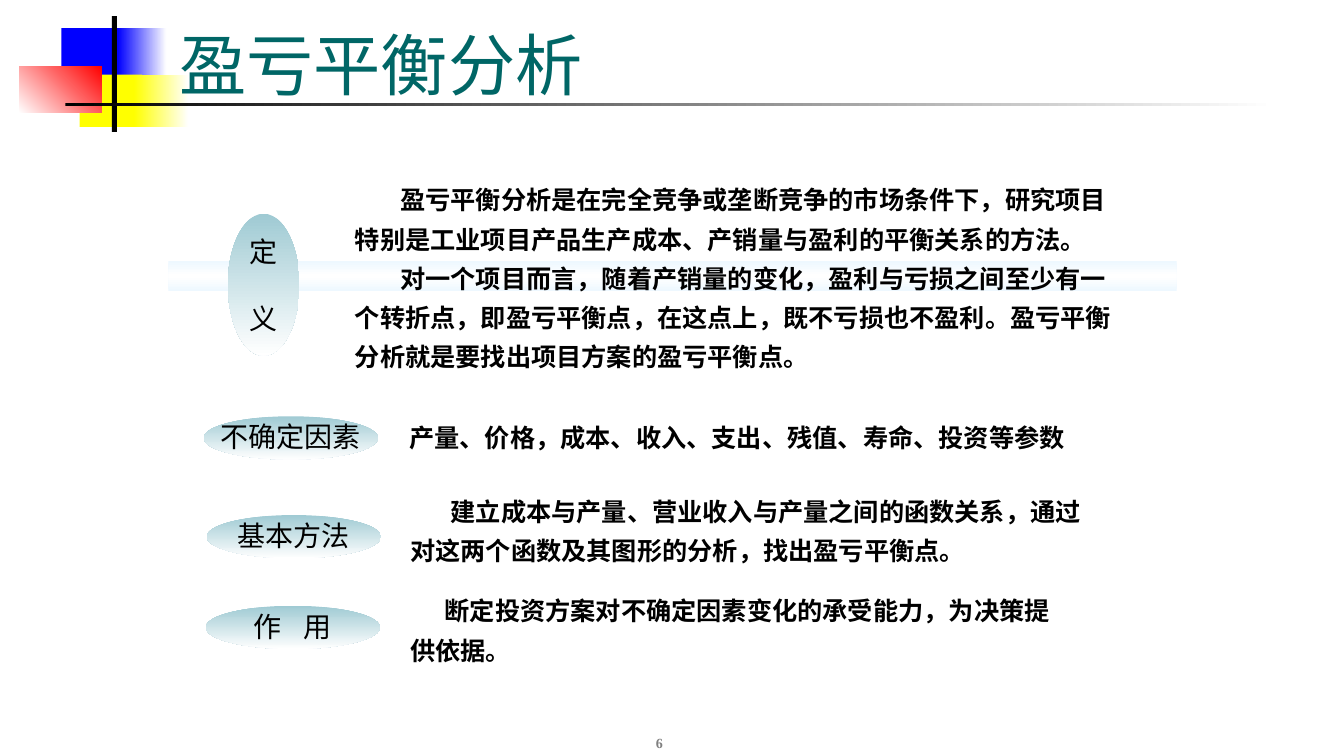
"""Builds the slide that introduces break-even analysis."""
from copy import deepcopy

from pptx import Presentation
from pptx import util as u
from pptx.dml.color import RGBColor
from pptx.enum import shapes, text

COLORS = {
    "blue": "0000FF", "yellow": "FFFF00", "red": "FF0000",
    "black": "000000", "white": "FFFFFF", "teal": "006666",
    "gray": "808080", "mist": "9FCAD3", "ice": "EEF8FF",
}
LATIN, SERIF = "Arial", "Times New Roman"
BODY = {"name": LATIN, "size": u.Pt(18), "bold": True}
LABEL = {"name": LATIN, "size": u.Pt(20)}
TITLE = {"name": SERIF, "size": u.Pt(48)}
NUMBER = {"name": SERIF, "size": u.Pt(10), "bold": True}
LEFT, CENTER = text.PP_ALIGN.LEFT, text.PP_ALIGN.CENTER
BOTTOM, MIDDLE = text.MSO_ANCHOR.BOTTOM, text.MSO_ANCHOR.MIDDLE
OVAL, BAR = shapes.MSO_SHAPE.OVAL, shapes.MSO_SHAPE.RECTANGLE

deck = Presentation()
deck.slide_width, deck.slide_height = u.Inches(13.33), u.Inches(7.5)
COLUMN, ROW = deck.slide_width / 133.3, deck.slide_height / 75
slide = deck.slides.add_slide(deck.slide_layouts[6])


def paint(kind, cells, colors, angle=0):
    """Draws a borderless shape on grid cells with one colour or evenly spaced stops."""
    spot = [round(n * step) for n, step in zip(cells, (COLUMN, ROW) * 2)]
    shape = slide.shapes.add_shape(kind, *spot)
    shape.shadow.inherit = False
    shape.line.fill.background()
    if len(colors) == 1:
        shape.fill.solid()
        shape.fill.fore_color.rgb = RGBColor.from_string(COLORS[colors[0]])
        return shape
    shape.fill.gradient()
    shape.fill.gradient_angle = angle
    stop_list = shape.fill._fill._gradFill.gsLst
    for _ in colors[2:]:
        stop_list.append(deepcopy(stop_list[-1]))
    for i, (stop, color) in enumerate(zip(shape.fill.gradient_stops, colors)):
        stop.position = i / (len(colors) - 1)
        stop.color.rgb = RGBColor.from_string(COLORS[color])
    return shape


def write(cells, lines, font, color="black", align=LEFT, spacing=None,
          inset=0, anchor=BOTTOM, shape=None):
    """Sets (first-line indent, words) lines in a new text box or a given shape."""
    if shape is None:
        spot = [round(n * step) for n, step in zip(cells, (COLUMN, ROW) * 2)]
        shape = slide.shapes.add_textbox(*spot)
    frame = shape.text_frame
    settings = {"word_wrap": True, "vertical_anchor": anchor,
                "margin_left": inset, "margin_right": inset,
                "margin_top": inset // 2, "margin_bottom": inset // 2}
    for key, value in settings.items():
        setattr(frame, key, value)
    for i, (indent, words) in enumerate(lines):
        line = frame.paragraphs[0] if i == 0 else frame.add_paragraph()
        line.alignment = align
        if spacing:
            line.line_spacing = spacing
        if indent:
            line._p.get_or_add_pPr().set("indent", str(round(indent * COLUMN)))
        run = line.add_run()
        run.text = words
        for key, value in font.items():
            setattr(run.font, key, value)
        run.font.color.rgb = RGBColor.from_string(COLORS[color])
    return frame


for cells, colors, angle in [
    ((6.1, 2.8, 6.4, 5.2), ["blue"], 0),
    ((11.7, 2.8, 4.8, 5.2), ["blue", "white"], 0),
    ((7.9, 7.4, 6.2, 5.2), ["yellow"], 0),
    ((13.3, 7.4, 5.4, 5.2), ["yellow", "white"], 0),
    ((1.9, 6.6, 8.2, 4.6), ["white", "red"], 45),
    ((11.1, 1.6, 0.5, 11.5), ["black"], 0),
    ((6.5, 10.2, 120, 0.3), ["black", "white"], 0),
    ((16.7, 25.9, 100, 3), ["ice", "white", "ice"], 270),
]:
    paint(BAR, cells, colors, angle)

write((51.5, 70, 27.8, 5), [(0, "6")], NUMBER, "gray", CENTER, inset=u.Inches(0.1))
write((16.8, 1.6, 113.6, 9.2), [(0, "盈亏平衡分析")], TITLE, "teal", inset=u.Inches(0.1))

definition = paint(OVAL, (22.6, 21.2, 7.1, 14.1), ["mist", "white"], 270)
characters = write(None, [(0, "定"), (0, "义")], LABEL, align=CENTER,
                   anchor=MIDDLE, shape=definition)
characters.paragraphs[1].space_before = u.Pt(24)

for left, top, topic in [
    (20.2, 41.3, "不确定因素"),
    (20.5, 51.1, "基本方法"),
    (20.4, 60.1, "作 用"),
]:
    paint(OVAL, (left, top, 17.3, 4.3), ["mist", "white"], 270)
    caption = write((left + 0.8, top + 0.4, 15.7, 3.3), [(0, topic)], LABEL, align=CENTER)
    if " " in topic:
        caption.paragraphs[0].runs[0].font._element.set("spc", "550")

for cells, spacing, lines in [
    ((35.2, 17.4, 76, 19.5), 1.3, [
        (4.5, "盈亏平衡分析是在完全竞争或垄断竞争的市场条件下，研究项目"),
        (0, "特别是工业项目产品生产成本、产销量与盈利的平衡关系的方法。"),
        (4.5, "对一个项目而言，随着产销量的变化，盈利与亏损之间至少有一"),
        (0, "个转折点，即盈亏平衡点，在这点上，既不亏损也不盈利。盈亏平衡"),
        (0, "分析就是要找出项目方案的盈亏平衡点。"),
    ]),
    ((40.6, 41.9, 68.4, 3), None, [
        (0, "产量、价格，成本、收入、支出、残值、寿命、投资等参数"),
    ]),
    ((40.7, 48.6, 68.3, 7.5), 1.3, [
        (4, "建立成本与产量、营业收入与产量之间的函数关系，通过"
            "对这两个函数及其图形的分析，找出盈亏平衡点。"),
    ]),
    ((40.7, 58.5, 64.8, 7.5), 1.3, [
        (3.4, "断定投资方案对不确定因素变化的承受能力，为决策提"),
        (0, "供依据。"),
    ]),
]:
    write(cells, lines, BODY, spacing=spacing)

deck.save("out.pptx")
